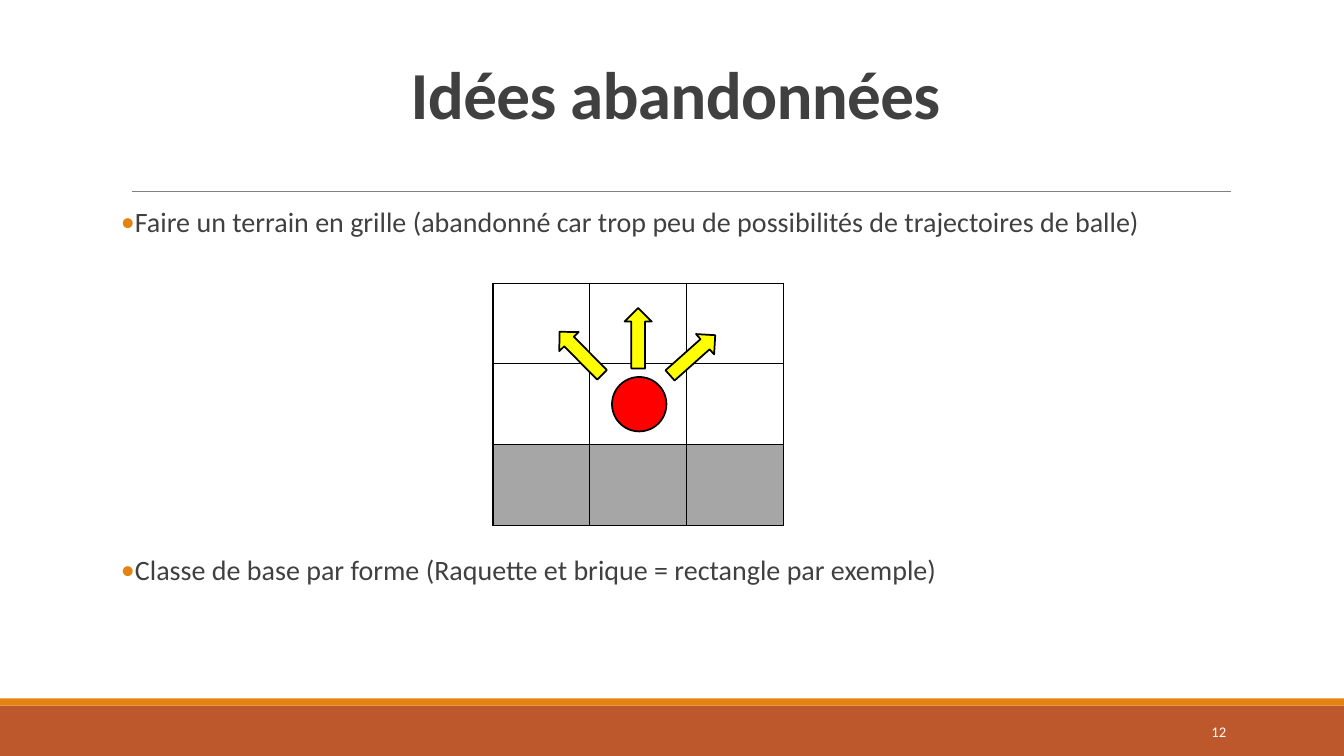
"""Build the slide on abandoned ideas."""
from dataclasses import dataclass

import pptx
import pptx.dml.color
import pptx.enum.shapes
import pptx.enum.text
import pptx.oxml
import pptx.oxml.ns
import pptx.util
from lxml import etree

Inches = pptx.util.Inches
Pt = pptx.util.Pt
Shapes = pptx.enum.shapes.MSO_SHAPE
Align = pptx.enum.text.PP_ALIGN
Anchor = pptx.enum.text.MSO_ANCHOR


@dataclass(frozen=True)
class Theme:
    """Colours, font and type sizes of the slide."""
    font: str = "Calibri"
    text: str = "404040"
    white: str = "FFFFFF"
    black: str = "000000"
    rule: str = "808080"
    footer: str = "BD582C"
    accent: str = "E48312"
    racket: str = "A6A6A6"
    ball: str = "FF0000"
    arrow: str = "FFFF00"
    title_size: float = 48
    body_size: float = 20
    number_size: float = 10.5


THEME = Theme()


def rgb(colour):
    """Return a colour object for a hexadecimal string."""
    return pptx.dml.color.RGBColor.from_string(colour)


def box(*lengths):
    """Convert left, top, width and height to Inches."""
    return [Inches(length) for length in lengths]


def add_run(paragraph, text, size, colour=THEME.text, bold=False):
    """Add one formatted run to a paragraph."""
    run = paragraph.add_run()
    run.text = text
    run.font.name = THEME.font
    run.font.size = Pt(size)
    run.font.bold = bold
    run.font.color.rgb = rgb(colour)
    return run


def add_figure(slide, kind, place, fill, outline=None, rotation=0):
    """Add a filled preset shape with an optional outline."""
    shape = slide.shapes.add_shape(kind, *box(*place))
    shape.shadow.inherit = False
    shape.rotation = rotation
    shape.fill.solid()
    shape.fill.fore_color.rgb = rgb(fill)
    if outline:
        shape.line.color.rgb = rgb(outline)
        shape.line.width = Pt(1.25)
    else:
        shape.line.fill.background()


def add_rule(slide, left, right, top):
    """Add the thin horizontal line under the title."""
    line = slide.shapes.add_connector(
        pptx.enum.shapes.MSO_CONNECTOR.STRAIGHT, *box(left, top, right, top))
    line.line.color.rgb = rgb(THEME.rule)
    line.line.width = Pt(0.5)
    etree.SubElement(line._element.spPr, pptx.oxml.ns.qn("a:effectLst"))


def set_title(slide, text):
    """Place and format the title placeholder."""
    title = slide.shapes.title
    title.left, title.top, title.width, title.height = box(1.2, 0.31, 11, 1.06)
    frame = title.text_frame
    frame.auto_size = pptx.enum.text.MSO_AUTO_SIZE.NONE
    frame.vertical_anchor = Anchor.BOTTOM
    paragraph = frame.paragraphs[0]
    paragraph.alignment = Align.CENTER
    paragraph.line_spacing = 0.85
    run = add_run(paragraph, text, THEME.title_size, bold=True)
    run.font._element.set("spc", "-50")


def add_text_frame(slide, *place):
    """Add a wrapping text box and return its frame."""
    frame = slide.shapes.add_textbox(*box(*place)).text_frame
    frame.word_wrap = True
    return frame


def set_bullet(paragraph):
    """Give a paragraph a coloured bullet and a hanging indent."""
    properties = paragraph._element.get_or_add_pPr()
    properties.set("marL", str(Inches(0.1)))
    properties.set("indent", str(Inches(-0.1)))
    namespace = pptx.oxml.ns.nsdecls("a")
    for xml in (
        f'<a:buClr {namespace}><a:srgbClr val="{THEME.accent}"/></a:buClr>',
        f'<a:buFont {namespace} typeface="{THEME.font}"/>',
        f'<a:buChar {namespace} char="•"/>',
    ):
        properties.append(pptx.oxml.parse_xml(xml))


def add_ideas(slide, ideas):
    """Add the bulleted ideas, each with its space before in points."""
    frame = add_text_frame(slide, 1.2, 2.02, 11, 4.4)
    frame.margin_left = frame.margin_right = 0
    for index, (text, space_before) in enumerate(ideas):
        paragraph = frame.add_paragraph() if index else frame.paragraphs[0]
        paragraph.line_spacing = 0.9
        paragraph.space_before = Pt(space_before)
        paragraph.space_after = Pt(2)
        set_bullet(paragraph)
        add_run(paragraph, text, THEME.body_size)


def add_page_number(slide, number):
    """Add the page number in the footer band."""
    frame = add_text_frame(slide, 10.83, 7.06, 1.43, 0.4)
    frame.vertical_anchor = Anchor.MIDDLE
    frame.paragraphs[0].alignment = Align.RIGHT
    add_run(frame.paragraphs[0], number, THEME.number_size, THEME.white)


def set_borders(cell):
    """Draw a black border on all four sides of a cell."""
    properties = cell._tc.get_or_add_tcPr()
    for index, side in enumerate(("lnL", "lnR", "lnT", "lnB")):
        properties.insert(index, pptx.oxml.parse_xml(
            f'<a:{side} {pptx.oxml.ns.nsdecls("a")} w="{Pt(1)}"><a:solidFill>'
            f'<a:srgbClr val="{THEME.black}"/></a:solidFill></a:{side}>'))


def add_field(slide, row_fills, column_count):
    """Add the playing field as a table with one fill per row."""
    width, height = 0.96, 0.8
    row_count = len(row_fills)
    table = slide.shapes.add_table(
        row_count, column_count,
        *box(4.89, 2.81, width * column_count, height * row_count)).table
    for row, fill in zip(table.rows, row_fills):
        for cell in row.cells:
            cell.fill.solid()
            cell.fill.fore_color.rgb = rgb(fill)
            set_borders(cell)


def add_ball(slide):
    """Add the ball and the arrows of its possible directions."""
    add_figure(slide, Shapes.OVAL, (6.07, 3.74, 0.54, 0.54),
               THEME.ball, THEME.black)
    for left, top, rotation in (
            (5.46, 3.37, 225.2), (6.57, 3.39, 318.3), (6.03, 3.22, 270)):
        add_figure(slide, Shapes.RIGHT_ARROW, (left, top, 0.6, 0.27),
                   THEME.arrow, THEME.black, rotation)


def main():
    """Build and save the presentation."""
    presentation = pptx.Presentation()
    presentation.slide_width = Inches(13.33)
    presentation.slide_height = Inches(7.5)
    slide = presentation.slides.add_slide(presentation.slide_layouts[5])
    add_figure(slide, Shapes.RECTANGLE, (0, 7, 13.33, 0.5), THEME.footer)
    add_figure(slide, Shapes.RECTANGLE, (0, 6.93, 13.33, 0.07), THEME.accent)
    add_rule(slide, 1.31, 12.21, 1.9)
    set_title(slide, "Idées abandonnées")
    add_ideas(slide, [
        ("Faire un terrain en grille (abandonné car trop peu de possibilités "
         "de trajectoires de balle)", 12),
        ("Classe de base par forme (Raquette et brique = rectangle par "
         "exemple)", 225),
    ])
    add_page_number(slide, "12")
    add_field(slide, [THEME.white, THEME.white, THEME.racket], 3)
    add_ball(slide)
    presentation.save("out.pptx")


main()
